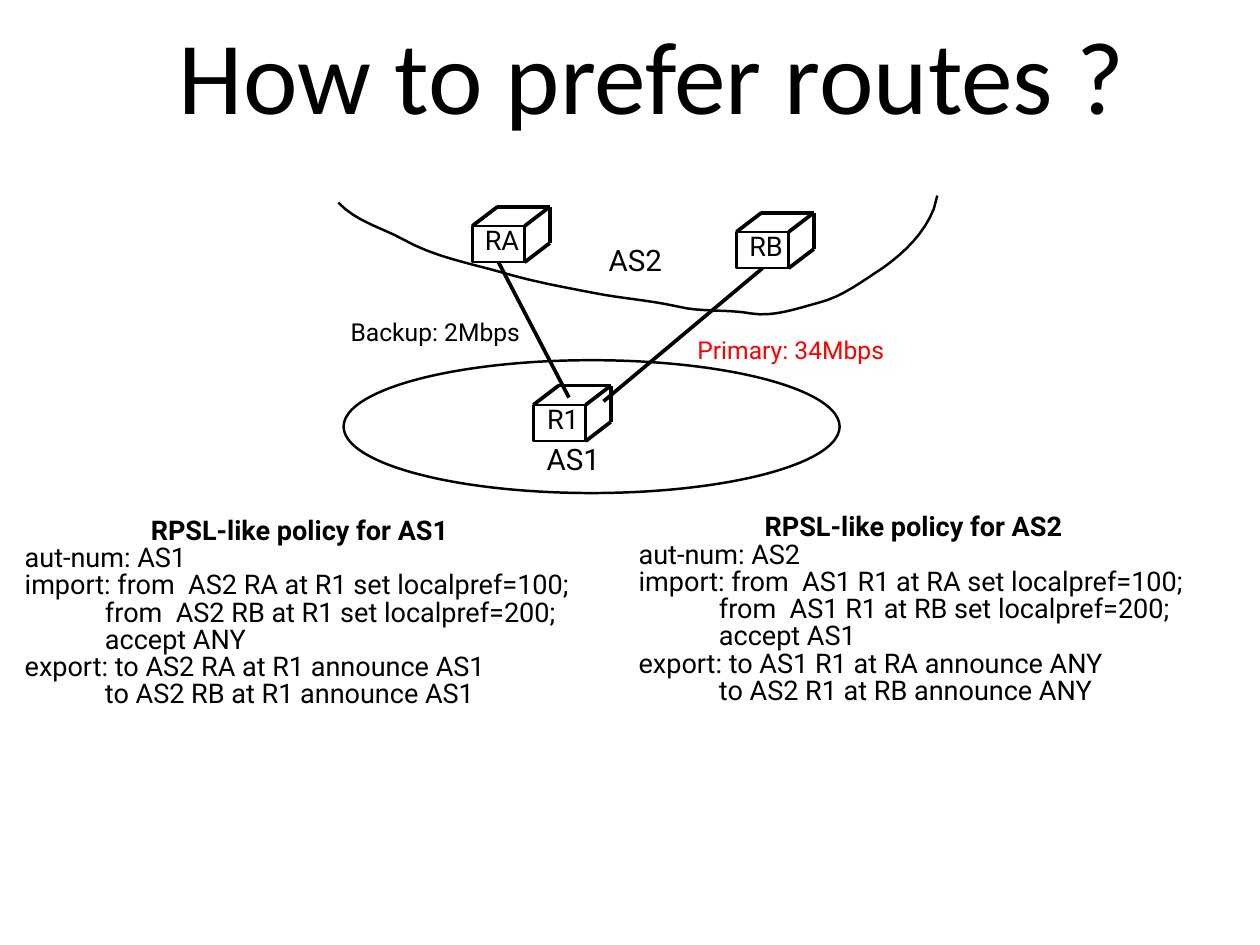
import pptx
import pptx.util
import pptx.dml.color
import pptx.enum.shapes
import pptx.enum.text
import pptx.oxml.ns
from lxml import etree

Cm, Pt = pptx.util.Cm, pptx.util.Pt
SHAPE = pptx.enum.shapes.MSO_SHAPE
ALIGN = pptx.enum.text.PP_ALIGN

# Border of AS2: start, then three points for each Bezier segment
AS2_BORDER = [
    (0, 0.2),
    (0.51, 0.74), (1.22, 0.91), (1.83, 1.24),
    (2.72, 1.75), (3.73, 1.93), (4.72, 2.21),
    (5.56, 2.46), (6.43, 2.62), (7.32, 2.79),
    (8.13, 2.95), (8.92, 3), (9.73, 3.18),
    (10.41, 3.35), (11.13, 3.25), (11.84, 3.38),
    (12.47, 3.48), (13.11, 3.25), (13.77, 3.07),
    (14.45, 2.9), (15.01, 2.46), (15.6, 2.08),
    (16.23, 1.63), (16.79, 1.09), (17.07, 0.38),
]
AS2_END = (17.17, 0)

AS1_POLICY = """aut-num: AS1
import: from  AS2 RA at R1 set localpref=100;
            from  AS2 RB at R1 set localpref=200;
            accept ANY
export: to AS2 RA at R1 announce AS1
            to AS2 RB at R1 announce AS1"""
AS2_POLICY = """aut-num: AS2
import: from  AS1 R1 at RA set localpref=100;
            from  AS1 R1 at RB set localpref=200;
            accept AS1
export: to AS1 R1 at RA announce ANY
            to AS2 R1 at RB announce ANY"""


def color(value):
    return pptx.dml.color.RGBColor.from_string(value)


def add_paragraph(tf, text, size=22, font="Roboto", fill="000000",
                  bold=False, align=ALIGN.CENTER, first=True):
    p = tf.paragraphs[0] if first else tf.add_paragraph()
    p.alignment, p.line_spacing = align, 0.84
    r = p.add_run()
    r.text = text
    r.font.size, r.font.name, r.font.bold = Pt(size), font, bold
    r.font.color.rgb = color(fill)


def add_box(shapes, x, y, w, h, wrap=False):
    tf = shapes.add_textbox(Cm(x), Cm(y), Cm(w), Cm(h)).text_frame
    tf.word_wrap = wrap
    tf.vertical_anchor = pptx.enum.text.MSO_ANCHOR.MIDDLE
    tf.margin_left = tf.margin_right = tf.margin_top = tf.margin_bottom = 0
    return tf


def outline(sp, width=2):
    sp.shadow.inherit = False
    sp.fill.background()
    sp.line.color.rgb, sp.line.width = color("000000"), Pt(width)
    return sp


def add_line(shapes, x1, y1, x2, y2):
    line = shapes.add_connector(pptx.enum.shapes.MSO_CONNECTOR.STRAIGHT,
                                Cm(x1), Cm(y1), Cm(x2), Cm(y2))
    line.line.color.rgb, line.line.width = color("000000"), Pt(3)
    etree.SubElement(line._element.spPr, pptx.oxml.ns.qn("a:effectLst"))
    return line


def add_router(s, x, y, name):
    """Draw a labelled cube and return its front face."""
    w, h, dx, dy = 1.5, 1.04, 0.72, 0.55
    shapes = s.shapes.add_group_shape().shapes
    front = outline(shapes.add_shape(SHAPE.RECTANGLE, Cm(x), Cm(y), Cm(w), Cm(h)))
    # Edges running backwards, then the two back edges
    for cx, cy in ((x, y), (x + w, y), (x + w, y + h)):
        add_line(shapes, cx, cy, cx + dx, cy - dy)
    right, top = x + w + dx, y - dy
    add_line(shapes, x + dx, top, right, top)
    add_line(shapes, right, top, right, top + h)
    add_paragraph(add_box(shapes, x + 0.1, y, w, 0.92), name)
    return front


def add_border(s, x, y):
    def place(px, py):
        return Cm(x + px), Cm(y + py)

    steps, points = 8, []
    for i in range(0, len(AS2_BORDER) - 1, 3):
        a, b, c, d = AS2_BORDER[i:i + 4]
        for k in range(1, steps + 1):
            t = k / steps
            u = 1 - t
            points.append(place(*(
                u**3 * a[j] + 3 * u * u * t * b[j] + 3 * u * t * t * c[j] + t**3 * d[j]
                for j in (0, 1))))
    builder = s.shapes.build_freeform(*place(*AS2_BORDER[0]))
    builder.add_line_segments(points + [place(*AS2_END)], close=False)
    outline(builder.convert_to_shape())


def add_title(s, x, y, w, h):
    add_paragraph(add_box(s.shapes, x, y, w, h, wrap=True),
                  "How to prefer routes ?", size=84, font="Calibri")


def add_network(s, x, y):
    # Routers and the two systems
    add_router(s, x + 5.59, y + 6, "R1")
    outline(s.shapes.add_shape(SHAPE.OVAL, Cm(x + 0.15), Cm(y + 4.72),
                               Cm(14.22), Cm(3.81)))
    add_border(s, x, y)
    ra = add_router(s, x + 3.84, y + 0.87, "RA")
    rb = add_router(s, x + 11.41, y + 1.04, "RB")

    # Links from R1
    for router, lx, ly in ((ra, 6.61, 5.79), (rb, 7.6, 5.9)):
        link = add_line(s.shapes, x + lx, y + ly, x + lx, y + ly)
        link.end_connect(router, 2)

    # Labels
    for text, lx, ly, w, h, size, fill in (
            ("Backup: 2Mbps", 0.33, 3.56, 4.9, 0.84, 20, "000000"),
            ("Primary: 34Mbps", 10.29, 4.07, 5.36, 0.84, 20, "FF0000"),
            ("AS1", 5.92, 7.12, 1.63, 1.02, 24, "000000"),
            ("AS2", 7.7, 1.4, 1.63, 1.02, 24, "000000")):
        add_paragraph(add_box(s.shapes, x + lx, y + ly, w, h), text,
                      size=size, fill=fill)


def add_policy(s, x, y, w, h, heading, policy):
    tf = add_box(s.shapes, x, y, w, h, wrap=True)
    add_paragraph(tf, heading, bold=True)
    for line in policy.split("\n"):
        add_paragraph(tf, line, align=ALIGN.LEFT, first=False)


def main():
    prs = pptx.Presentation()
    prs.slide_width, prs.slide_height = Cm(36.12), Cm(27.1)
    s = prs.slides.add_slide(prs.slide_layouts[6])
    add_title(s, 2.64, 0, 32.11, 4.78)
    add_network(s, 9.7, 5.61)
    add_policy(s, 0.71, 14.81, 15.75, 5.59, "RPSL-like policy for AS1", AS1_POLICY)
    add_policy(s, 18.31, 14.71, 15.75, 5.59, "RPSL-like policy for AS2", AS2_POLICY)
    prs.save("out.pptx")


if __name__ == "__main__":
    main()
